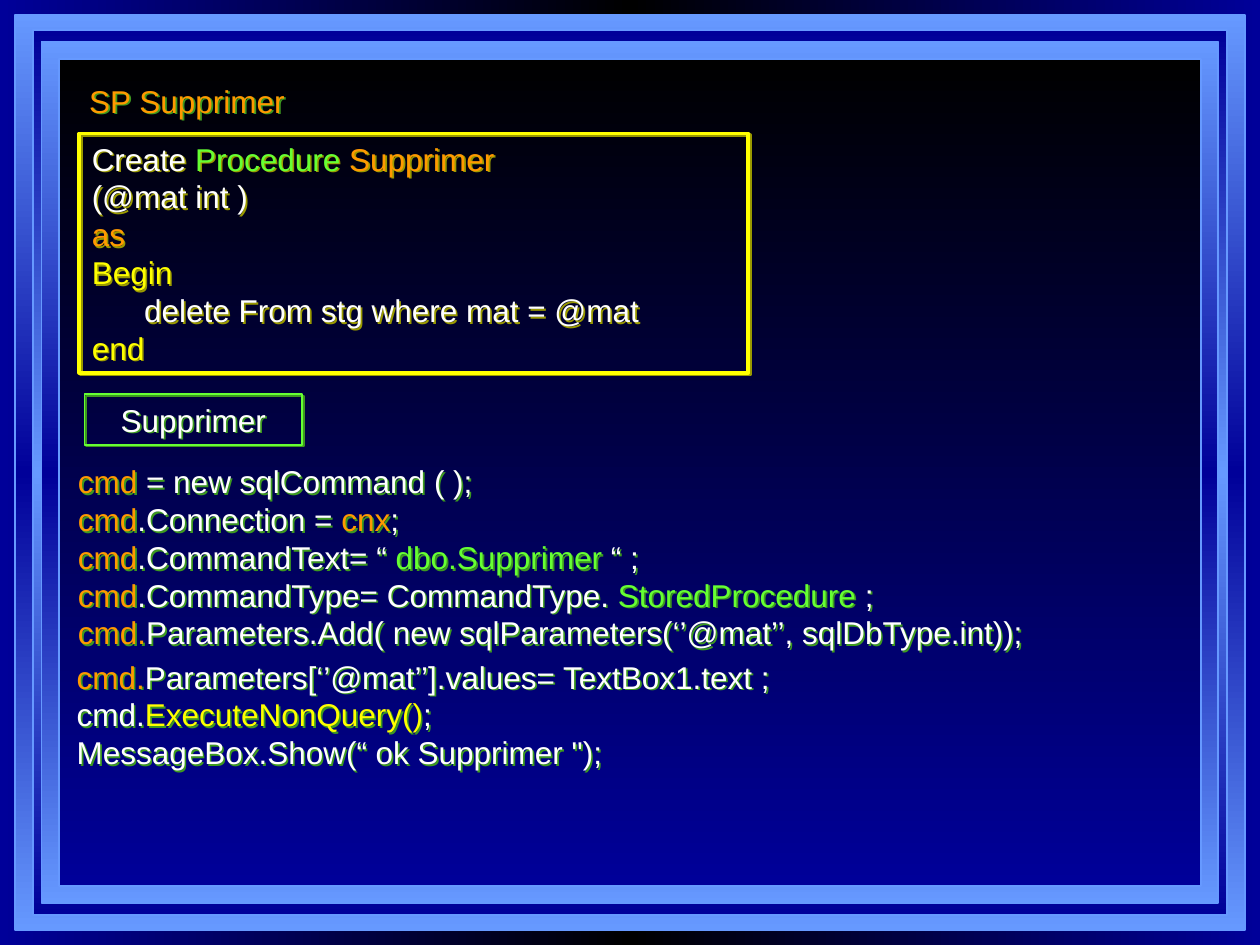
"""Build the slide on the stored procedure that deletes a row and the code calling it."""
from dataclasses import dataclass

from lxml import etree
from pptx import Presentation
from pptx.dml.color import RGBColor
from pptx.enum.shapes import MSO_SHAPE
from pptx.enum.text import MSO_ANCHOR, MSO_AUTO_SIZE, PP_ALIGN
from pptx.oxml.ns import qn
from pptx.util import Inches, Pt

RECTANGLE = MSO_SHAPE.RECTANGLE
TOP = MSO_ANCHOR.TOP
FIT_TEXT = MSO_AUTO_SIZE.SHAPE_TO_FIT_TEXT
LEFT, CENTER = PP_ALIGN.LEFT, PP_ALIGN.CENTER
COLUMNS, ROWS = 100, 75
CELL = Inches(0.1)
DOWNWARD = 270


@dataclass(frozen=True)
class Theme:
    """Colours and type sizes of the slide."""

    navy: str = "000099"
    sky: str = "6699FF"
    black: str = "000000"
    white: str = "FFFFFF"
    orange: str = "FF9900"
    yellow: str = "FFFF00"
    green: str = "66FF33"
    dark_yellow: str = "999900"
    dark_green: str = "3D991F"
    font: str = "Arial"
    size: float = 18
    thin: float = 1
    thick: float = 2.25


@dataclass(frozen=True)
class Box:
    """A region measured in grid columns and rows."""

    left: float
    top: float
    width: float
    height: float

    def lengths(self):
        """Return the region as slide lengths."""
        return [round(value * CELL) for value in (self.left, self.top, self.width, self.height)]

    def inset(self, across, down):
        """Return the region shrunk equally on opposite sides."""
        return Box(self.left + across, self.top + down,
                   self.width - 2 * across, self.height - 2 * down)


THEME = Theme()
FRAMES = (
    (1.2, 1.2, (THEME.sky, THEME.navy, THEME.sky)),
    (2.6, 2.4, (THEME.navy, THEME.sky, THEME.navy)),
    (3.3, 3.3, (THEME.sky, THEME.navy, THEME.sky)),
    (4.7, 4.7, (THEME.black, THEME.navy)),
)
TITLE = [[("SP Supprimer", THEME.orange)]]
PROCEDURE = [
    [("Create ", THEME.white), ("Procedure ", THEME.green), ("Supprimer", THEME.orange)],
    [("(@mat int )", THEME.white)],
    [("as", THEME.orange)],
    [("Begin", THEME.yellow)],
    [("      delete From stg where mat = @mat", THEME.white)],
    [("end", THEME.yellow)],
]
BUTTON = [[("Supprimer", THEME.white)]]
COMMAND = [
    [("cmd", THEME.orange), (" = new sqlCommand ( );", THEME.white)],
    [("cmd", THEME.orange), (".Connection = ", THEME.white), ("cnx", THEME.orange),
     (";", THEME.white)],
    [("cmd", THEME.orange), (".CommandText= “ ", THEME.white),
     ("dbo.Supprimer", THEME.green), (" “ ;", THEME.white)],
    [("cmd", THEME.orange), (".CommandType= CommandType. ", THEME.white),
     ("StoredProcedure", THEME.green), (" ;", THEME.white)],
    [("cmd.", THEME.orange),
     ("Parameters.Add( new sqlParameters(‘’@mat’’, sqlDbType.int));", THEME.white)],
]
EXECUTION = [
    [("cmd.", THEME.orange),
     ("Parameters[‘’@mat’’].values= TextBox1.text ;", THEME.white)],
    [("cmd.", THEME.white), ("ExecuteNonQuery()", THEME.yellow), (";", THEME.white)],
    [("MessageBox.Show(“ ok Supprimer \");", THEME.white)],
]


def paint_gradient(fill, owner, colors, angle):
    """Fill with evenly spaced colours along an angle."""
    fill.gradient()
    fill.gradient_angle = angle
    stops = next(owner.iter(qn("a:gsLst")))
    for stop in list(stops):
        stops.remove(stop)
    for index, color in enumerate(colors):
        position = str(100000 * index // (len(colors) - 1))
        stop = etree.SubElement(stops, qn("a:gs"), pos=position)
        etree.SubElement(stop, qn("a:srgbClr"), val=color)


def cast_shadow(shape, color):
    """Give a shape a small hard shadow toward the lower right."""
    shape.shadow.inherit = False
    effects = next(shape.element.iter(qn("a:effectLst")))
    shadow = etree.SubElement(effects, qn("a:outerShdw"), blurRad="0",
                              dist=str(Pt(1.4)), dir="2700000", algn="ctr", rotWithShape="0")
    etree.SubElement(shadow, qn("a:srgbClr"), val=color)


def write_lines(shape, lines, alignment=LEFT, wrap=True):
    """Write coloured runs, one paragraph for each line."""
    frame = shape.text_frame
    frame.word_wrap = wrap
    frame.auto_size = FIT_TEXT
    frame.vertical_anchor = TOP
    for index, line in enumerate(lines):
        paragraph = frame.paragraphs[0] if index == 0 else frame.add_paragraph()
        paragraph.alignment = alignment
        for text, color in line:
            run = paragraph.add_run()
            run.text = text
            run.font.name = THEME.font
            run.font.size = Pt(THEME.size)
            run.font.color.rgb = RGBColor.from_string(color)


def add_frames(slide, box):
    """Draw the nested gradient frames inside the box."""
    paint_gradient(slide.background.fill, slide.element,
                   (THEME.navy, THEME.black, THEME.navy), 0)
    for across, down, colors in FRAMES:
        shape = slide.shapes.add_shape(RECTANGLE, *box.inset(across, down).lengths())
        shape.shadow.inherit = False
        paint_gradient(shape.fill, shape.element, colors, DOWNWARD)
        shape.line.color.rgb = RGBColor.from_string(THEME.sky)
        shape.line.width = Pt(THEME.thin)


def add_code(slide, box, lines, wrap=True):
    """Place unframed text with a green shadow."""
    shape = slide.shapes.add_textbox(*box.lengths())
    cast_shadow(shape, THEME.dark_green)
    write_lines(shape, lines, wrap=wrap)


def add_outlined(slide, box, lines, color, shadow, width, alignment=LEFT):
    """Place text in an unfilled outlined rectangle."""
    shape = slide.shapes.add_shape(RECTANGLE, *box.lengths())
    shape.fill.background()
    shape.line.color.rgb = RGBColor.from_string(color)
    shape.line.width = Pt(width)
    cast_shadow(shape, shadow)
    write_lines(shape, lines, alignment)


def main():
    """Build and save the presentation."""
    presentation = Presentation()
    presentation.slide_width = COLUMNS * CELL
    presentation.slide_height = ROWS * CELL
    slide = presentation.slides.add_slide(presentation.slide_layouts[6])
    add_frames(slide, Box(0, 0, COLUMNS, ROWS))
    add_code(slide, Box(6.1, 6, 17.5, 4), TITLE, wrap=False)
    add_outlined(slide, Box(6.3, 10.6, 53.1, 19), PROCEDURE,
                 THEME.yellow, THEME.dark_yellow, THEME.thick)
    add_code(slide, Box(5.2, 36.2, 91.4, 16), COMMAND)
    add_outlined(slide, Box(6.7, 31.3, 17.3, 4), BUTTON,
                 THEME.green, THEME.dark_green, THEME.thin, CENTER)
    add_code(slide, Box(5.1, 51.7, 91.4, 10), EXECUTION)
    presentation.save("out.pptx")


if __name__ == "__main__":
    main()
